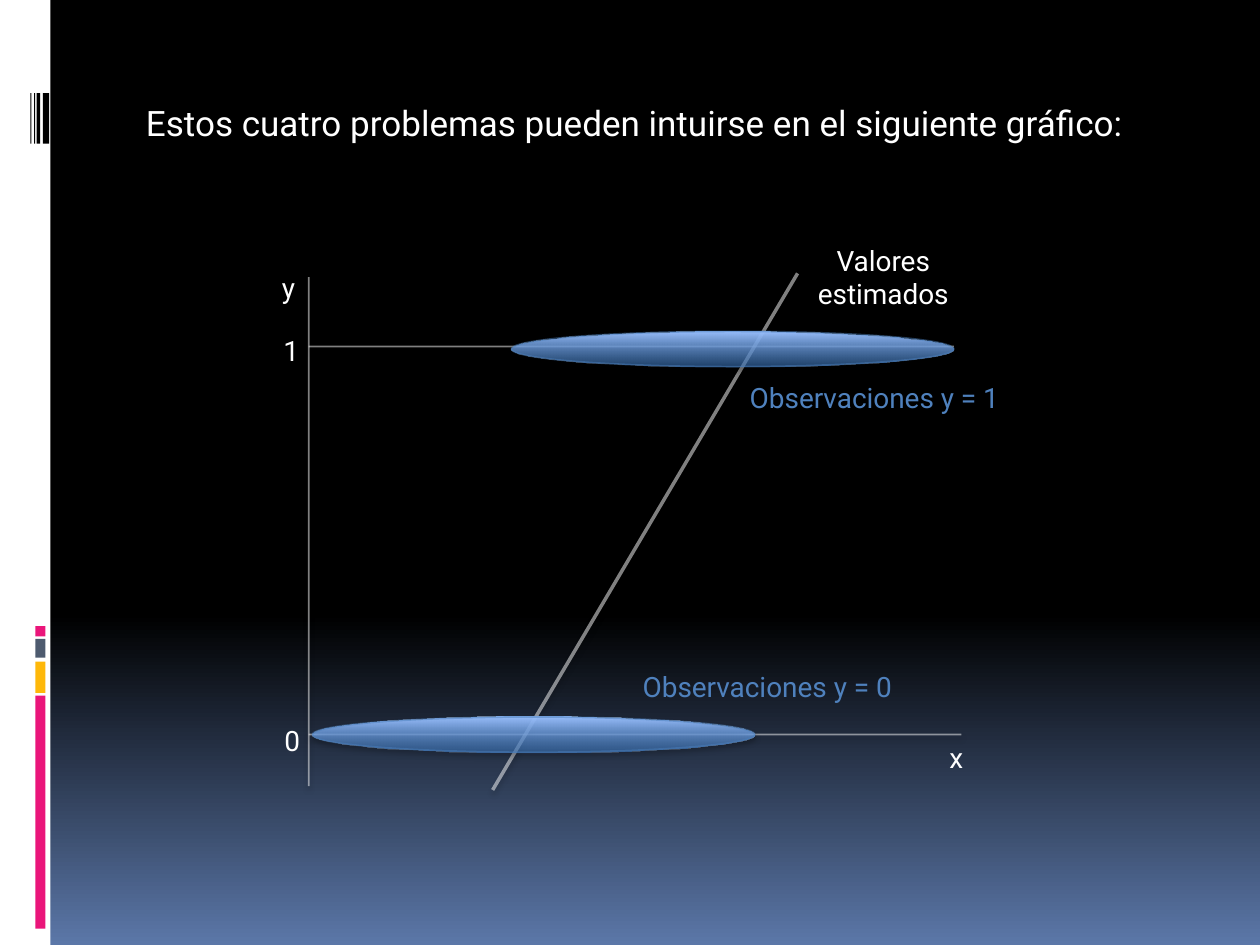
from pptx import Presentation
from pptx.dml.color import RGBColor
from pptx.enum import shapes, text
from pptx.oxml import ns
from pptx.util import Inches, Pt
from lxml import etree

WHITE, BLUE = "FFFFFF", "4F81BD"
BACKGROUND = [(0, "000000", 100), (65, "000000", 100), (100, "5B77A8", 100)]
CLOUD = [(0, "9BC1FF", 100), (100, "3F80CD", 50)]
SIDEBAR = [
    (0, 0, 0.4, 7.5, WHITE),
    (0.28, 5.52, 0.08, 1.85, "EA157A"),
    (0.28, 5.25, 0.08, 0.25, "FEB80A"),
    (0.28, 5.07, 0.08, 0.15, "4E5B6F"),
    (0.28, 4.97, 0.08, 0.08, "EA157A"),
]
BARCODE = [(0.34, 0.05), (0.29, 0.03), (0.27, 0.01), (0.24, 0.01)]
TITLE = "Estos cuatro problemas pueden intuirse en el siguiente gráfico:"
AXIS_X, ONE_Y, ZERO_Y = 2.45, 2.75, 5.83
LINES = [
    (AXIS_X, 2.2, AXIS_X, 6.24, 1),
    (AXIS_X, ONE_Y, 7.57, ONE_Y, 1),
    (AXIS_X, ZERO_Y, 7.63, ZERO_Y, 1),
    (3.91, 6.27, 6.33, 2.17, 2),
]
LABELS = [
    ("Valores estimados", 6.17, 1.83, 1.68, 0.78),
    ("x", 7.38, 5.78, 0.42, 0.48),
    ("y", 2.08, 2.05, 0.42, 0.48),
    ("0", 2.11, 5.64, 0.42, 0.48),
    ("1", 2.1, 2.55, 0.42, 0.48),
]
CLOUDS = [(4.06, 2.63), (2.48, 5.69)]
CLOUD_LABELS = [
    ("Observaciones y = 1", 5.59, 2.92, 2.7, 0.48),
    ("Observaciones y = 0", 4.64, 5.21, 2.9, 0.48),
]

deck = Presentation()
deck.slide_width, deck.slide_height = Inches(10), Inches(7.5)
page = deck.slides.add_slide(deck.slide_layouts[6])


def color(value):
    return RGBColor.from_string(value)


def add_color(parent, value, alpha):
    node = etree.SubElement(parent, ns.qn("a:srgbClr"), val=value)
    if alpha < 100:
        etree.SubElement(node, ns.qn("a:alpha"), val=str(alpha * 1000))


def set_gradient(fill, element, stops):
    fill.gradient()
    fill.gradient_angle = 270
    stop_list = element.find(".//" + ns.qn("a:gsLst"))
    for stop in list(stop_list):
        stop_list.remove(stop)
    for position, value, alpha in stops:
        stop = etree.SubElement(stop_list, ns.qn("a:gs"), pos=str(position * 1000))
        add_color(stop, value, alpha)


def set_line(shape, value, width):
    shape.line.width = Pt(width)
    shape.line.color.rgb = color(value)
    line_color = shape.line._ln.find(".//" + ns.qn("a:srgbClr"))
    etree.SubElement(line_color, ns.qn("a:alpha"), val="50000")


def add_shadow(shape):
    effects = etree.SubElement(shape._element.spPr, ns.qn("a:effectLst"))
    shadow = etree.SubElement(
        effects, ns.qn("a:outerShdw"), blurRad=str(Pt(3)), dist=str(Pt(2)),
        dir="5400000", rotWithShape="0",
    )
    add_color(shadow, "000000", 35)


def add_bar(left, top, width, height, value):
    bar = page.shapes.add_shape(
        shapes.MSO_SHAPE.RECTANGLE, *map(Inches, (left, top, width, height)))
    bar.shadow.inherit = False
    bar.fill.solid()
    bar.fill.fore_color.rgb = color(value)
    bar.line.fill.background()


def add_text(words, left, top, width, height, size=16, value=WHITE,
             align=text.PP_ALIGN.CENTER, inset=0.1):
    box = page.shapes.add_textbox(*map(Inches, (left, top, width, height)))
    frame = box.text_frame
    frame.word_wrap = True
    frame.margin_left = frame.margin_right = Inches(0.1)
    frame.margin_top = frame.margin_bottom = Inches(inset)
    para = frame.paragraphs[0]
    para.alignment = align
    span = para.add_run()
    span.text = words
    span.font.name = "Roboto"
    span.font.size = Pt(size)
    span.font.color.rgb = color(value)
    return para


set_gradient(page.background.fill, page._element, BACKGROUND)

for bar in SIDEBAR:
    add_bar(*bar)
for left, width in BARCODE:
    add_bar(left, 0.74, width, 0.4, "000000")

title = add_text(TITLE, 0.99, 0.76, 8.67, 5.89, size=20,
                 align=text.PP_ALIGN.LEFT, inset=0.05)
title.space_before = Pt(7)
indents = title._p.get_or_add_pPr()
indents.set("marL", str(Inches(0.45)))
indents.set("indent", str(Inches(-0.38)))

for *ends, width in LINES:
    line = page.shapes.add_connector(
        shapes.MSO_CONNECTOR.STRAIGHT, *map(Inches, ends))
    set_line(line, WHITE, width)
    add_shadow(line)

for label in LABELS:
    add_text(*label)

for left, top in CLOUDS:
    cloud = page.shapes.add_shape(
        shapes.MSO_SHAPE.OVAL, *map(Inches, (left, top, 3.51, 0.28)))
    set_gradient(cloud.fill, cloud._element, CLOUD)
    set_line(cloud, "4A7EBB", 1)
    add_shadow(cloud)

for label in CLOUD_LABELS:
    add_text(*label, value=BLUE)

deck.save("out.pptx")
